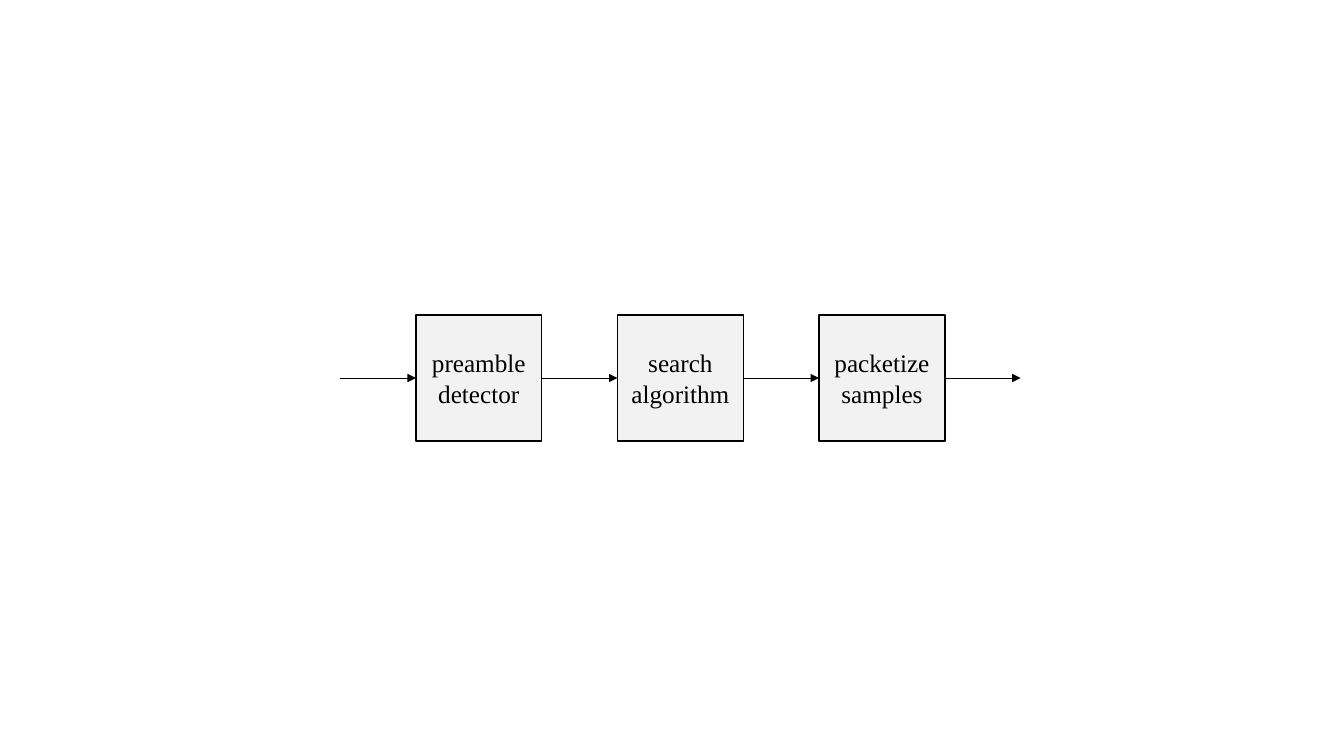
from pptx import Presentation
from pptx.dml.color import RGBColor
from pptx.enum.shapes import MSO_CONNECTOR as Connector, MSO_SHAPE as Shape
from pptx.enum.text import MSO_ANCHOR as Anchor, PP_ALIGN as Align
from pptx.oxml.ns import qn
from pptx.util import Pt
from lxml.etree import SubElement

BLACK = RGBColor(0x00, 0x00, 0x00)
LIGHT_GREY = RGBColor(0xF2, 0xF2, 0xF2)

STAGES = [["preamble detector"], ["search", "algorithm"], ["packetize samples"]]
LEFT, TOP, SIDE, GAP = 297, 225, 90, 54
MIDDLE = TOP + SIDE / 2
LEFT_SIDE, RIGHT_SIDE = 1, 3


class BlockDiagram:
    font_name = "Times New Roman"
    font_size = Pt(18)
    border_width = Pt(1)
    arrow_width = Pt(0.5)

    def __init__(self, slide):
        self.slide = slide

    def block(self, left, paragraphs):
        block = self.slide.shapes.add_shape(
            Shape.RECTANGLE, Pt(left), Pt(TOP), Pt(SIDE), Pt(SIDE))
        block.shadow.inherit = False
        block.fill.solid()
        block.fill.fore_color.rgb = LIGHT_GREY
        block.line.color.rgb = BLACK
        block.line.width = self.border_width
        frame = block.text_frame
        frame.word_wrap = True
        frame.vertical_anchor = Anchor.MIDDLE
        for index, text in enumerate(paragraphs):
            paragraph = frame.add_paragraph() if index else frame.paragraphs[0]
            paragraph.alignment = Align.CENTER
            run = paragraph.add_run()
            run.text = text
            run.font.name = self.font_name
            run.font.size = self.font_size
            run.font.color.rgb = BLACK
        return block

    def arrow(self, start, source=None, target=None):
        """Draw an arrow across one gap, joined to the blocks at its ends."""
        arrow = self.slide.shapes.add_connector(
            Connector.STRAIGHT, Pt(start), Pt(MIDDLE), Pt(start + GAP), Pt(MIDDLE))
        if source is not None:
            arrow.begin_connect(source, RIGHT_SIDE)
        if target is not None:
            arrow.end_connect(target, LEFT_SIDE)
        arrow.line.color.rgb = BLACK
        arrow.line.width = self.arrow_width
        SubElement(arrow.line._get_or_add_ln(), qn("a:tailEnd"), type="triangle")
        SubElement(arrow._element.spPr, qn("a:effectLst"))


def main():
    presentation = Presentation()
    presentation.slide_width, presentation.slide_height = Pt(960), Pt(540)
    slide = presentation.slides.add_slide(presentation.slide_layouts[6])
    diagram = BlockDiagram(slide)

    pitch = SIDE + GAP
    blocks = [diagram.block(LEFT + index * pitch, paragraphs)
              for index, paragraphs in enumerate(STAGES)]
    ends = zip([None, *blocks], [*blocks, None])
    for index, (source, target) in enumerate(ends):
        diagram.arrow(LEFT - GAP + index * pitch, source, target)

    presentation.save("out.pptx")


if __name__ == "__main__":
    main()
